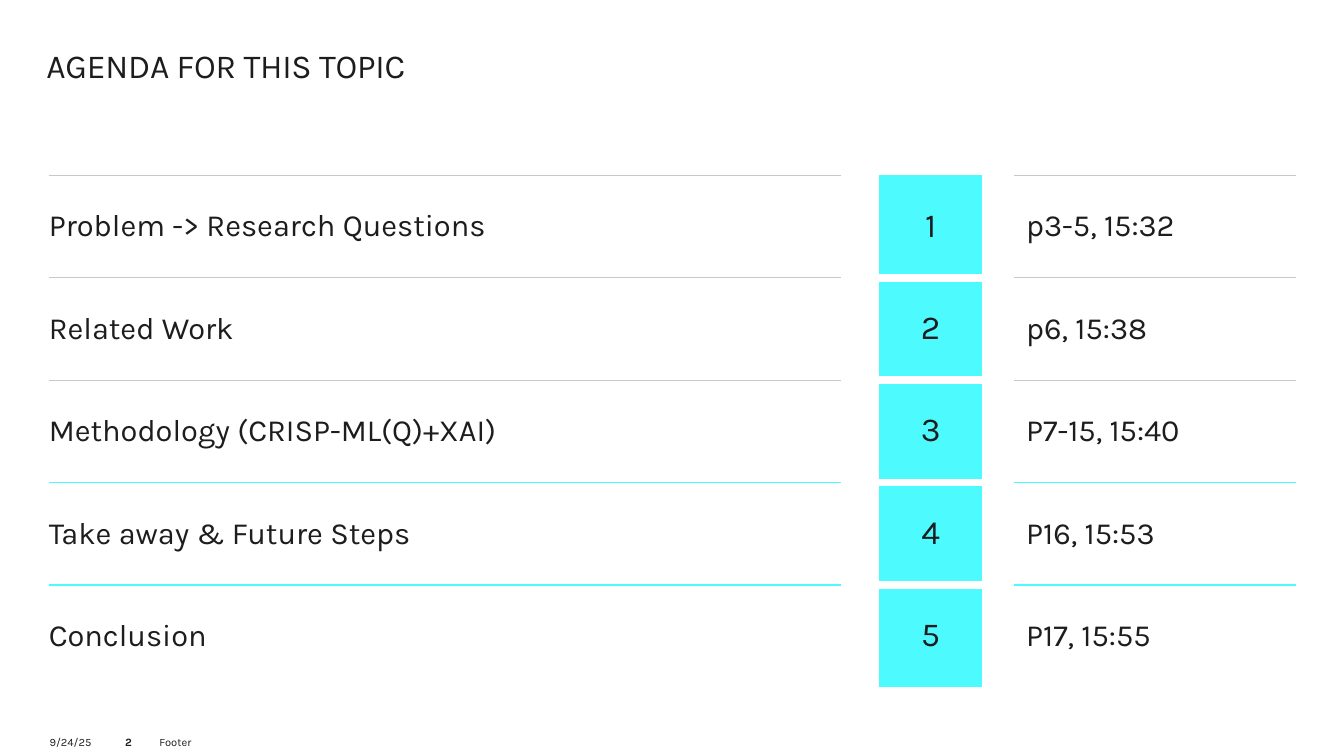
from lxml.etree import SubElement
from pptx import Presentation
from pptx.dml.color import RGBColor
from pptx.enum.text import MSO_ANCHOR, PP_ALIGN
from pptx.oxml.ns import qn
from pptx.util import Cm, Pt

INK = RGBColor(0x1D, 0x1D, 0x1F)
CYAN = RGBColor(0x4D, 0xFB, 0xFF)
GRAY = RGBColor(0xC8, 0xC8, 0xC8)
WHITE = RGBColor(0xFF, 0xFF, 0xFF)

TITLE = "AGENDA FOR THIS TOPIC"
AGENDA = [
    ("Problem -> Research Questions", "p3-5, 15:32"),
    ("Related Work", "p6, 15:38"),
    ("Methodology (CRISP-ML(Q)+XAI)", "P7-15, 15:40"),
    ("Take away & Future Steps", "P16, 15:53"),
    ("Conclusion", "P17, 15:55"),
]
RULES = [GRAY, GRAY, GRAY, CYAN, CYAN, None]
FOOTER = [
    ("9/24/25", 1.25, 1.3, {}),
    ("2", 2.67, 1.14, {"bold": True, "align": PP_ALIGN.CENTER}),
    ("Footer", 4.02, 29.08, {}),
]
COLUMNS = [19.96, 0.97, 2.59, 0.81, 7.09]
ROW_HEIGHT = 2.58
TOPIC, NUMBER, TIME = 0, 2, 4
MARGINS = {TOPIC: (0, 0.13, 0.25, 0.13), NUMBER: (0.25, 0.1, 0.25, 0.13),
           TIME: (0.3, 0.13, 0, 0.13)}


def write(frame, text, size, bold=False, align=PP_ALIGN.LEFT, line=None, spacing=None):
    paragraph = frame.paragraphs[0]
    paragraph.alignment = align
    paragraph.line_spacing = line
    run = paragraph.add_run()
    run.text = text
    run.font.name = "Karla"
    run.font.size = Pt(size)
    run.font.bold = bold
    run.font.color.rgb = INK
    if spacing is not None:
        run.font._element.set("spc", str(round(spacing * 100)))


def add_label(slide, text, left, top, width, height, **style):
    frame = slide.shapes.add_textbox(Cm(left), Cm(top), Cm(width), Cm(height)).text_frame
    frame.word_wrap = True
    frame.margin_left = frame.margin_top = frame.margin_right = frame.margin_bottom = 0
    write(frame, text, **style)


def set_borders(cell, top, bottom, weight):
    properties = cell._tc.get_or_add_tcPr()
    edges = [("a:lnL", None), ("a:lnR", None), ("a:lnT", top), ("a:lnB", bottom)]
    for position, (edge, color) in enumerate(edges):
        border = SubElement(properties, qn(edge))
        properties.insert(position, border)
        if color is None:
            SubElement(border, qn("a:noFill"))
        else:
            border.set("w", str(Pt(weight)))
            solid = SubElement(border, qn("a:solidFill"))
            SubElement(solid, qn("a:srgbClr")).set("val", str(color))


def fill_cell(cell, color, text=None, margins=(0, 0, 0, 0), **style):
    cell.fill.solid()
    cell.fill.fore_color.rgb = color
    cell.vertical_anchor = MSO_ANCHOR.MIDDLE
    cell.margin_left, cell.margin_top, cell.margin_right, cell.margin_bottom = map(Cm, margins)
    if text:
        write(cell.text_frame, text, **style)


def add_agenda(slide):
    count = len(AGENDA)
    agenda = slide.shapes.add_table(count, len(COLUMNS), Cm(1.23), Cm(4.42),
                                    Cm(sum(COLUMNS)), Cm(ROW_HEIGHT * count)).table
    agenda.first_row = agenda.horz_banding = False
    for column, width in zip(agenda.columns, COLUMNS):
        column.width = Cm(width)
    for row, (topic, time) in enumerate(AGENDA):
        agenda.rows[row].height = Cm(ROW_HEIGHT)
        texts = {TOPIC: topic, NUMBER: str(row + 1), TIME: time}
        for column in range(len(COLUMNS)):
            cell = agenda.cell(row, column)
            if column == NUMBER:
                fill_cell(cell, CYAN, texts[column], MARGINS[column],
                          size=24, align=PP_ALIGN.CENTER)
                set_borders(cell, WHITE if row else None,
                            WHITE if row < count - 1 else None, 6)
            elif column in texts:
                fill_cell(cell, WHITE, texts[column], MARGINS[column], size=22)
                set_borders(cell, RULES[row], RULES[row + 1], 1)
            else:
                fill_cell(cell, WHITE)
                set_borders(cell, None, None, 0)


def main():
    deck = Presentation()
    deck.slide_width, deck.slide_height = Cm(33.87), Cm(19.05)
    slide = deck.slides.add_slide(deck.slide_layouts[6])
    for text, left, width, style in FOOTER:
        add_label(slide, text, left, 18.52, width, 0.38, size=8, **style)
    add_label(slide, TITLE, 1.17, 1.24, 23.57, 2.31, size=24, line=0.9, spacing=-0.2)
    add_agenda(slide)
    deck.save("out.pptx")


if __name__ == "__main__":
    main()
